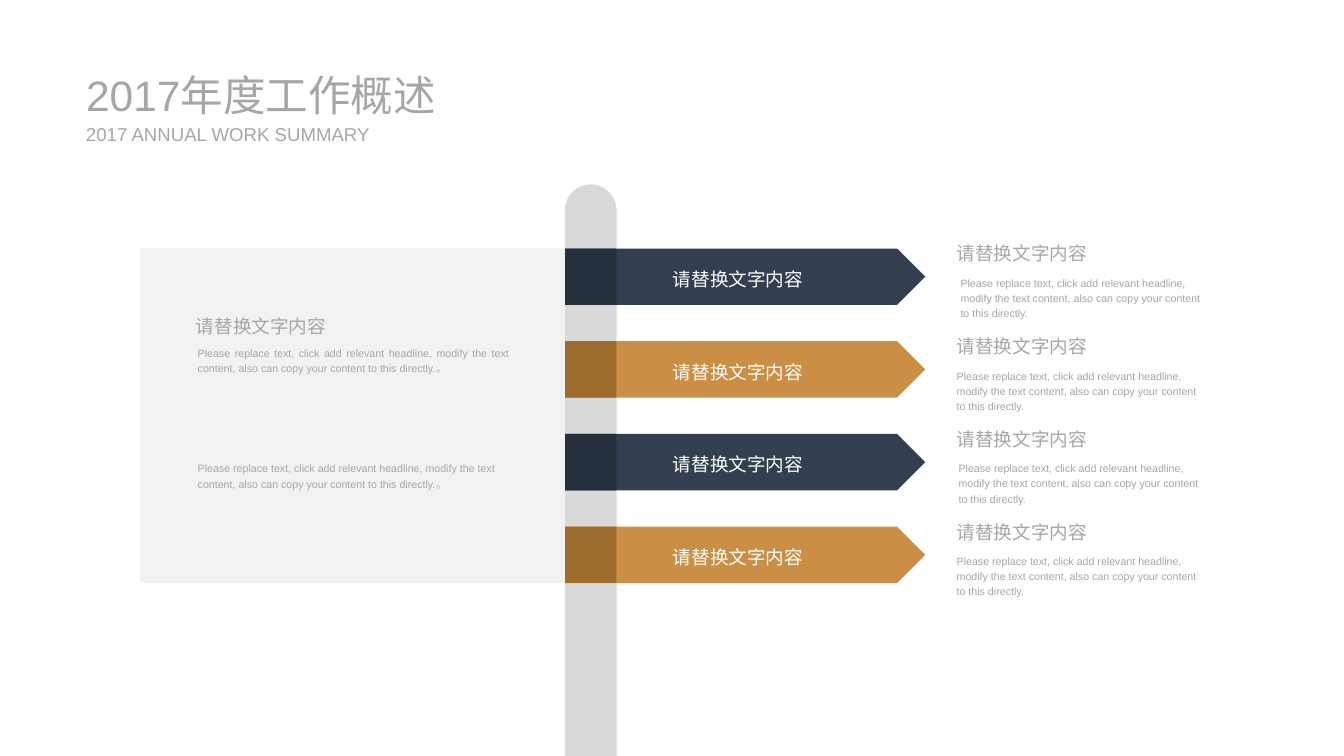
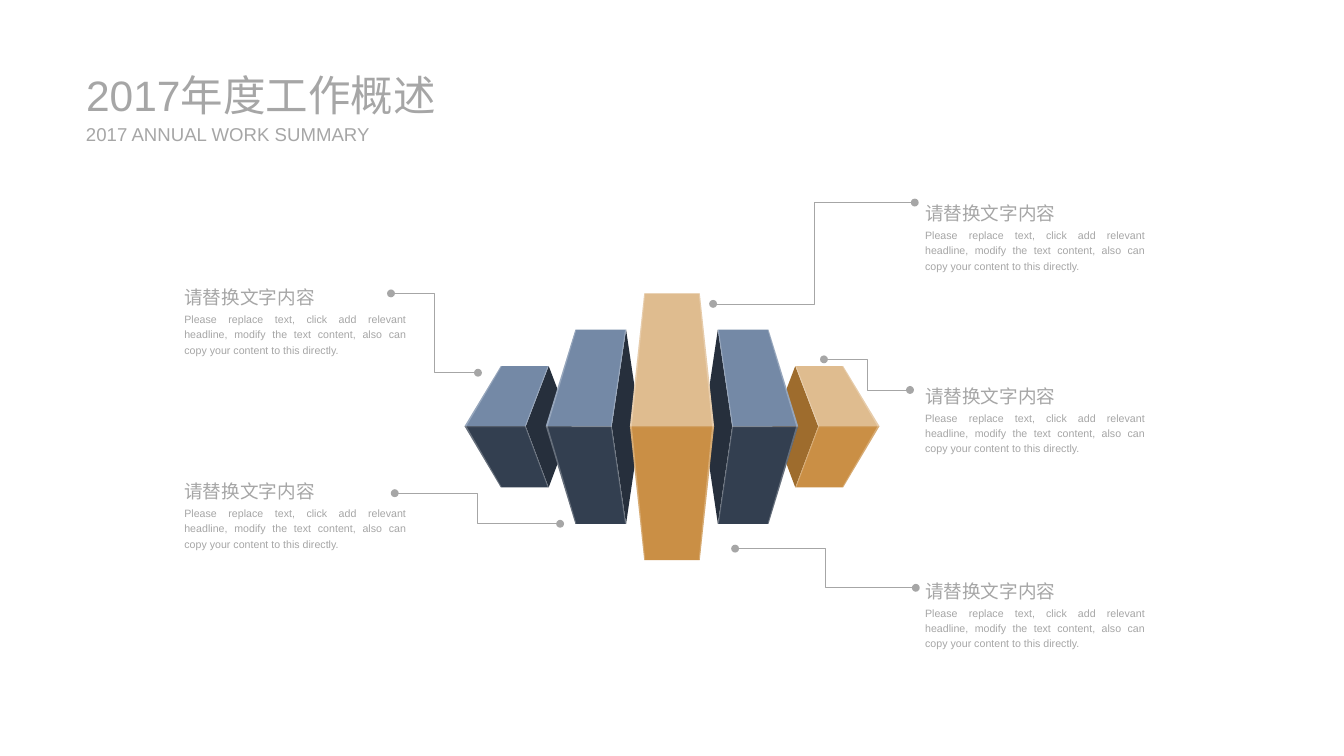
"""Build two annual work summary slides: a signpost of arrows and a fan of prisms."""
from lxml import etree
from pptx import Presentation, util as u
from pptx.dml.color import RGBColor
from pptx.enum import shapes, text
from pptx.oxml import ns

SCALE = 9144
WIDTH, HEIGHT = 1406, 791
FONT = "Arial"
GREY, WHITE, PANEL, POLE = "A6A6A6", "FFFFFF", "F2F2F2", "D9D9D9"
NAVY = {"side": "262F3C", "top": "7489A6", "front": "333F50"}
GOLD = {"side": "9E6C2D", "top": "DFBC8F", "front": "CA8F45"}

TITLE = "2017年度工作概述"
SUBTITLE = "2017 ANNUAL WORK SUMMARY"
HEADING = "请替换文字内容"
BODY = ("Please replace text, click add relevant headline, modify the text content, "
        "also can copy your content to this directly.")
PANEL_BODY = BODY + "。"

ARROWS = [(NAVY, 995), (GOLD, 991), (NAVY, 993), (GOLD, 991)]
ARROW_LEFT, ARROW_TOP, ARROW_PITCH = 591, 260, 97
ARROW_WIDTH, ARROW_HEIGHT, POLE_WIDTH = 377, 59, 54

MIDDLE = 446
OUTER = {"ridge": (486, 550), "edge": (524, 574), "far": 598, "ends": (383, 510)}
INNER = {"ridge": (571, 640), "edge": (602, 655), "far": 670, "ends": (345, 548)}
CENTRE = {"ridge": (659, 747), "edge": (674, 732), "far": None, "ends": (307, 586)}
PRISMS = [(OUTER, NAVY, False), (INNER, NAVY, False), (OUTER, GOLD, True),
          (INNER, NAVY, True), (CENTRE, GOLD, False)]

NOTES = [(183, 290, 252), (183, 493, 252), (958, 202, 250), (958, 597, 250), (958, 393, 250)]
CALLOUTS = [((409, 307), (500, 390)), ((413, 516), (586, 548)), ((746, 318), (957, 212)),
            ((862, 376), (952, 408)), ((769, 574), (958, 615))]


def px(*lengths):
    return [u.Emu(length * SCALE) for length in lengths]


def colour(hex_code):
    return RGBColor.from_string(hex_code)


def paint(shape, hex_code, opacity=None):
    shape.shadow.inherit = False
    shape.line.fill.background()
    shape.fill.solid()
    shape.fill.fore_color.rgb = colour(hex_code)
    if opacity is not None:
        tint = shape.fill._xPr.find(".//" + ns.qn("a:srgbClr"))
        etree.SubElement(tint, ns.qn("a:alpha"), val=str(opacity * 1000))


def write(shape, words, size, ink=GREY, align=text.PP_ALIGN.LEFT, spacing=1.2,
          anchor=text.MSO_ANCHOR.TOP, inset=None):
    frame = shape.text_frame
    frame.word_wrap = True
    frame.vertical_anchor = anchor
    if inset is not None:
        frame.margin_left = frame.margin_right = frame.margin_top = frame.margin_bottom = inset
    para = frame.paragraphs[0]
    para.alignment = align
    para.line_spacing = spacing
    span = para.add_run()
    span.text = words
    span.font.name, span.font.size = FONT, u.Pt(size)
    span.font.color.rgb = colour(ink)


def add_text(page, place, words, size, **style):
    write(page.shapes.add_textbox(*px(*place)), words, size, **style)


def add_block(page, kind, place, hex_code):
    block = page.shapes.add_shape(kind, *px(*place))
    paint(block, hex_code)
    return block


def add_outline(page, points, hex_code, mirrored=False, opacity=None):
    if mirrored:
        points = [(WIDTH - x, y) for x, y in points]
    builder = page.shapes.build_freeform(*points[0], scale=SCALE)
    builder.add_line_segments(points[1:], close=True)
    paint(builder.convert_to_shape(), hex_code, opacity)


def add_faces(page, prism, palette, mirrored):
    (left, right), (edge_left, edge_right) = prism["ridge"], prism["edge"]
    top, bottom = prism["ends"]
    if prism["far"]:
        side = [(right, MIDDLE), (edge_right, top), (prism["far"], MIDDLE), (edge_right, bottom)]
        add_outline(page, side, palette["side"], mirrored)
    for face, end in (("top", top), ("front", bottom)):
        points = [(right, MIDDLE), (edge_right, end), (edge_left, end), (left, MIDDLE)]
        add_outline(page, points, palette[face], mirrored)


def add_highlights(page, prism, mirrored):
    (left, right), (edge_left, edge_right) = prism["ridge"], prism["edge"]
    top, bottom = prism["ends"]

    def strip(ridge, edge, depth, flipped):
        points = [(ridge, MIDDLE), (edge, top), (edge + 1, top), (ridge + depth, MIDDLE),
                  (edge + 1, bottom), (edge, bottom)]
        add_outline(page, points, WHITE, flipped, 25)

    seam = [(left, MIDDLE), (right, MIDDLE), (right, MIDDLE + 1), (left, MIDDLE + 1)]
    add_outline(page, seam, WHITE, mirrored, 25)
    strip(left, edge_left, 2, mirrored)
    if prism["far"]:
        strip(right - 1, edge_right - 1, 1, mirrored)
    else:
        strip(left, edge_left, 2, True)


def add_callout(page, start, end):
    line = page.shapes.add_connector(shapes.MSO_CONNECTOR.ELBOW, *px(*start, *end))
    line.line.color.rgb = colour(GREY)
    line.line.width = u.Pt(0.5)
    stroke = line.line._get_or_add_ln()
    for tip in ("a:headEnd", "a:tailEnd"):
        etree.SubElement(stroke, ns.qn(tip), type="oval")
    etree.SubElement(line._element.spPr, ns.qn("a:effectLst"))


def add_page(deck):
    page = deck.slides.add_slide(deck.slide_layouts[6])
    style = dict(spacing=1.0, anchor=text.MSO_ANCHOR.MIDDLE, inset=0)
    add_text(page, (90, 72, 432, 54), TITLE, 32, **style)
    add_text(page, (90, 128, 307, 24), SUBTITLE, 14, **style)
    return page


def build_signpost(deck):
    page = add_page(deck)
    kinds = shapes.MSO_SHAPE
    pole = add_block(page, kinds.ROUND_2_SAME_RECTANGLE,
                     (ARROW_LEFT, 193, POLE_WIDTH, HEIGHT - 193), POLE)
    pole.adjustments[0], pole.adjustments[1] = 0.5, 0
    for index, (palette, body_left) in enumerate(ARROWS):
        shift = index * ARROW_PITCH
        top = ARROW_TOP + shift
        arrow = add_block(page, kinds.PENTAGON, (ARROW_LEFT, top, ARROW_WIDTH, ARROW_HEIGHT),
                          palette["front"])
        write(arrow, HEADING, 14, ink=WHITE, align=text.PP_ALIGN.CENTER,
              anchor=text.MSO_ANCHOR.MIDDLE)
        add_block(page, kinds.RECTANGLE, (ARROW_LEFT, top, POLE_WIDTH, ARROW_HEIGHT),
                  palette["side"])
        add_text(page, (991, 244 + shift, 165, 36), HEADING, 14)
        add_text(page, (body_left, 282 + shift, 273, 57), BODY, 8)
    add_block(page, kinds.RECTANGLE, (147, ARROW_TOP, ARROW_LEFT - 147, 350), PANEL)
    add_text(page, (195, 320, 168, 36), HEADING, 14)
    add_text(page, (197, 355, 346, 41), PANEL_BODY, 8, align=text.PP_ALIGN.JUSTIFY)
    add_text(page, (197, 476, 346, 41), PANEL_BODY, 8)


def build_fan(deck):
    page = add_page(deck)
    for prism, palette, mirrored in PRISMS:
        add_faces(page, prism, palette, mirrored)
    for prism, _, mirrored in PRISMS:
        add_highlights(page, prism, mirrored)
    for left, top, width in NOTES:
        add_text(page, (left, top + 30, width, 57), BODY, 8, align=text.PP_ALIGN.JUSTIFY)
        add_text(page, (left, top, 165, 36), HEADING, 14, align=text.PP_ALIGN.JUSTIFY)
    for start, end in CALLOUTS:
        add_callout(page, start, end)


def main():
    deck = Presentation()
    deck.slide_width, deck.slide_height = px(WIDTH, HEIGHT)
    build_signpost(deck)
    build_fan(deck)
    deck.save("out.pptx")


if __name__ == "__main__":
    main()
